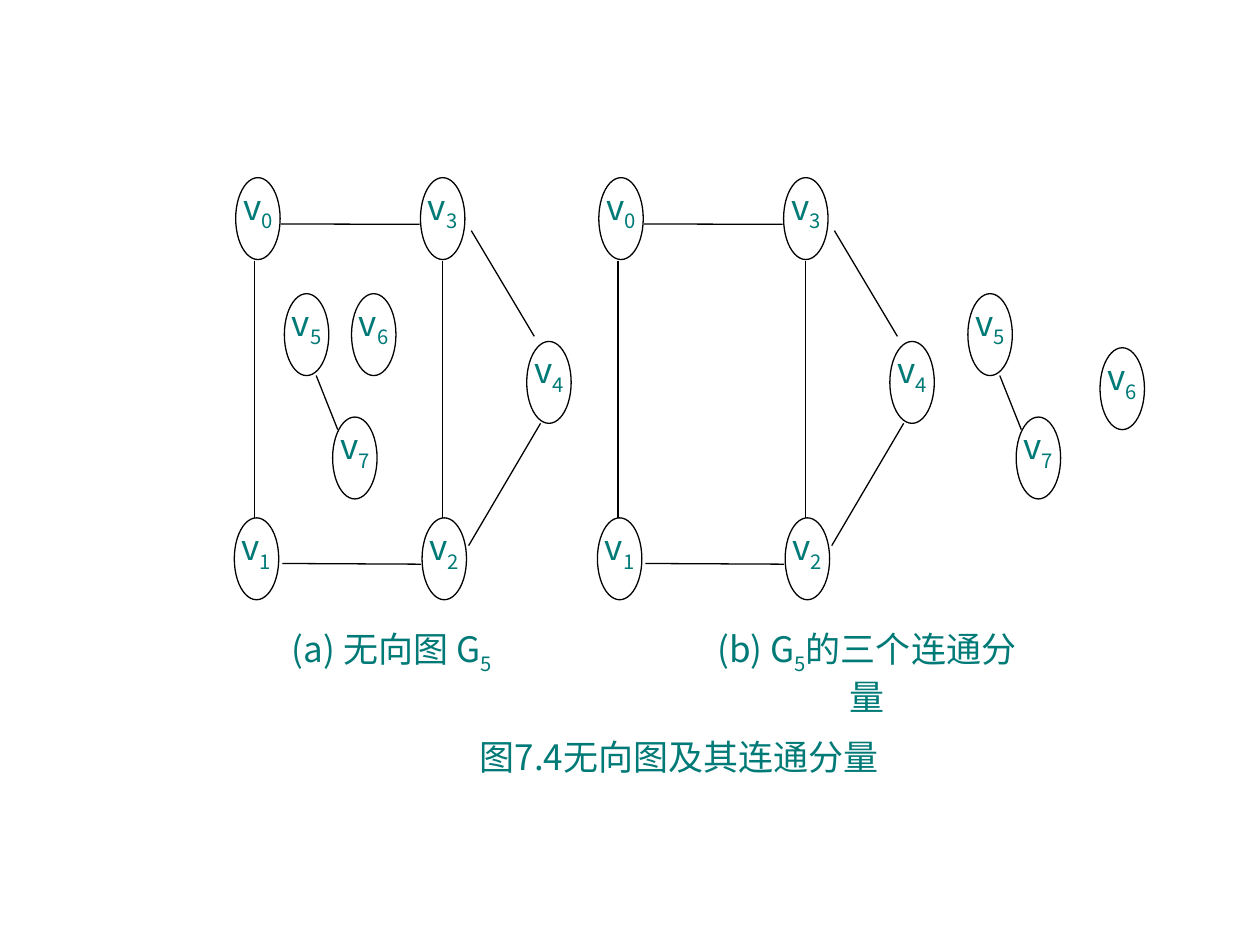
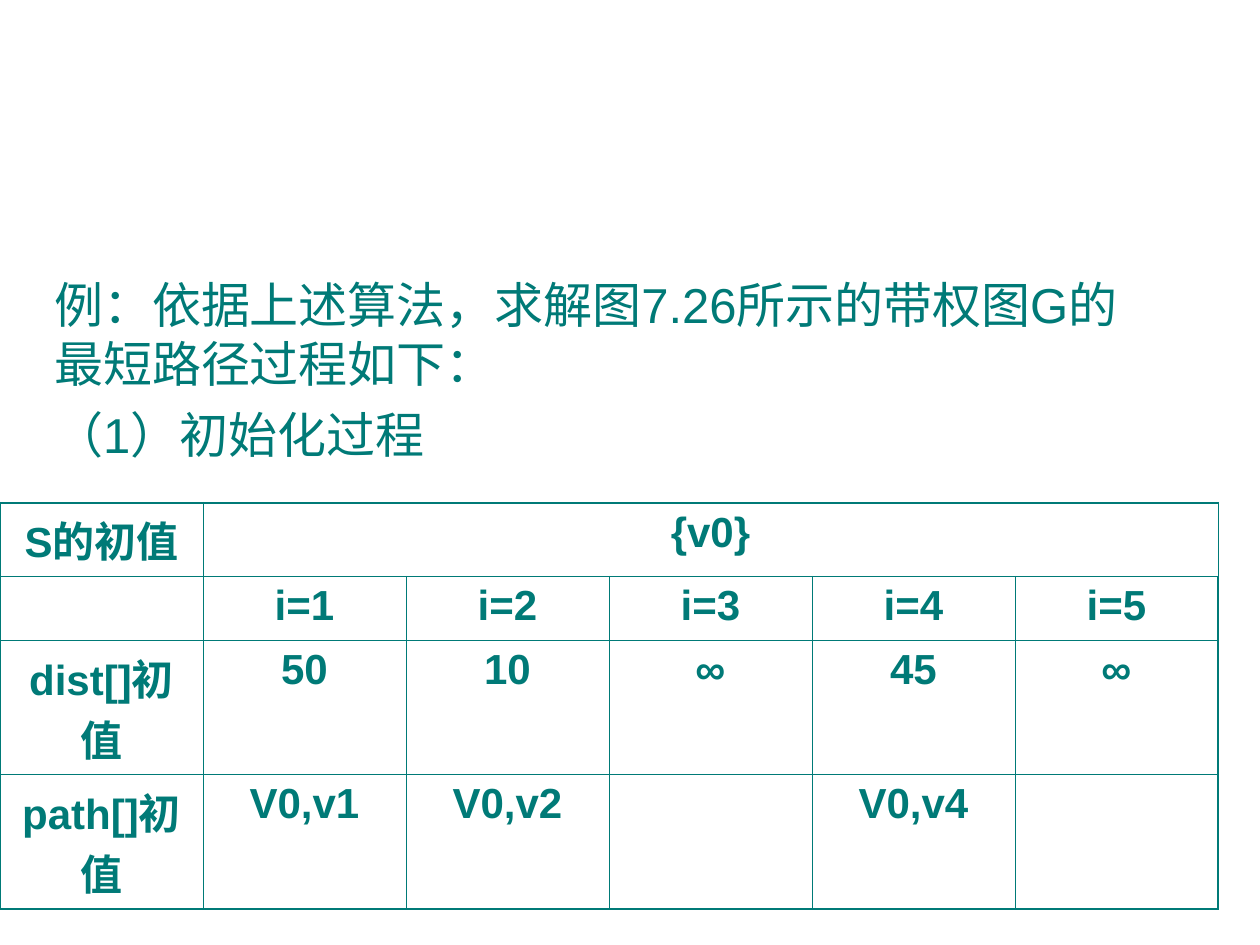
from lxml import etree
from pptx import Presentation
from pptx.dml.color import RGBColor
from pptx.enum import shapes, text
from pptx.oxml import ns
from pptx.util import Pt

TEAL = RGBColor(0x00, 0x7A, 0x77)
BLACK = RGBColor(0x00, 0x00, 0x00)
WHITE = RGBColor(0xFF, 0xFF, 0xFF)
LATIN_FONT = "Arial"
CHINESE_FONT = "Noto Sans CJK SC"

NODE_WIDTH, NODE_HEIGHT = 25.4, 46.8
MAIN_NODES = {"v_0": (134.7, 101.5), "v_3": (240.3, 101.5), "v_4": (301, 195.1),
              "v_1": (133.9, 295.9), "v_2": (241.2, 295.9)}
MAIN_EDGES = [(160.6, 128, 239.8, 128.2), (145.6, 149, 145.6, 296),
              (252.7, 149, 252.7, 296), (161.3, 322, 240.5, 322.4),
              (269.3, 131.8, 305.3, 192.2), (308.9, 241.9, 267.8, 311.8)]
PAIR_NODES = {"v_5": (162.5, 167.8), "v_7": (190.1, 238.3)}
PAIR_EDGES = [(180.7, 214.6, 193, 245.5)]
MAIN_SHIFT, PAIR_SHIFT = 207.5, 390.6

TABLE_ROWS = [["S的初值", "{v0}", "", "", "", ""],
              ["", "i=1", "i=2", "i=3", "i=4", "i=5"],
              ["dist[]初值", "50", "10", "∞", "45", "∞"],
              ["path[]初值", "V0,v1", "V0,v2", "", "V0,v4", ""]]
ROW_HEIGHTS = [36, 36.5, 64.8, 64.8]
COLUMN_WIDTH = 116
THIN, THICK = 0.45, 1.08


def write(paragraph, content, size=20, font=CHINESE_FONT, bold=False, align=None,
          spacing=None, before=None):
    """Fill a paragraph; every second part between underscores is a subscript."""
    paragraph.alignment = align
    paragraph.line_spacing = spacing
    paragraph.space_before = before
    for index, part in enumerate(content.split("_")):
        run = paragraph.add_run()
        run.text = part
        run.font.size = Pt(size)
        run.font.name = font
        run.font.bold = bold
        run.font.color.rgb = TEAL
        properties = run._r.get_or_add_rPr()
        etree.SubElement(properties, ns.qn("a:ea"), typeface=CHINESE_FONT)
        if index % 2:
            properties.set("baseline", "-25000")


def add_label(group, kind, content, box, line, width, spacing=None):
    """Add a white shape with centred text at its top."""
    shape = group.shapes.add_shape(kind, *map(Pt, box))
    shape.shadow.inherit = False
    shape.fill.solid()
    shape.fill.fore_color.rgb = WHITE
    shape.line.color.rgb = line
    shape.line.width = Pt(width)
    frame = shape.text_frame
    frame.word_wrap = True
    frame.vertical_anchor = text.MSO_ANCHOR.TOP
    frame.margin_left = frame.margin_top = frame.margin_right = frame.margin_bottom = 0
    write(frame.paragraphs[0], content, align=text.PP_ALIGN.CENTER, spacing=spacing)


def add_node(group, name, left, top):
    """Add one vertex of a graph."""
    add_label(group, shapes.MSO_SHAPE.OVAL, name,
              (left, top, NODE_WIDTH, NODE_HEIGHT), BLACK, 0.75, spacing=0.8)


def add_caption(group, content, *box):
    """Add a caption on a white rectangle."""
    add_label(group, shapes.MSO_SHAPE.RECTANGLE, content, box, WHITE, 1)


def add_edge(group, x1, y1, x2, y2):
    """Add one straight edge of a graph."""
    edge = group.shapes.add_connector(shapes.MSO_CONNECTOR.STRAIGHT,
                                      *map(Pt, (x1, y1, x2, y2)))
    edge.line.color.rgb = BLACK
    edge.line.width = Pt(0.75)
    etree.SubElement(edge._element.spPr, ns.qn("a:effectLst"))


def add_component(group, nodes, edges, shift=0):
    """Add a connected component, moved to the right by shift."""
    for name, (left, top) in nodes.items():
        add_node(group, name, left + shift, top)
    for x1, y1, x2, y2 in edges:
        add_edge(group, x1 + shift, y1, x2 + shift, y2)


def set_borders(cell, widths):
    """Draw the left, right, top and bottom borders of a cell."""
    properties = cell._tc.get_or_add_tcPr()
    for index, (side, width) in enumerate(zip("LRTB", widths)):
        border = etree.Element(ns.qn(f"a:ln{side}"), w=str(Pt(width)))
        fill = etree.SubElement(border, ns.qn("a:solidFill"))
        etree.SubElement(fill, ns.qn("a:srgbClr"), val=str(TEAL))
        properties.insert(index, border)


def add_value_table(slide):
    """Add the table of initial values."""
    row_count, column_count = len(TABLE_ROWS), len(TABLE_ROWS[0])
    table = slide.shapes.add_table(
        row_count, column_count, 0, Pt(287.3),
        Pt(COLUMN_WIDTH * column_count), Pt(sum(ROW_HEIGHTS))).table
    table.first_row = table.horz_banding = False
    for column in table.columns:
        column.width = Pt(COLUMN_WIDTH)
    for r, (values, height) in enumerate(zip(TABLE_ROWS, ROW_HEIGHTS)):
        table.rows[r].height = Pt(height)
        for c, value in enumerate(values):
            cell = table.cell(r, c)
            cell.fill.background()
            outer = (c == 0, c == column_count - 1, r == 0, r == row_count - 1)
            set_borders(cell, [THICK if side else THIN for side in outer])
            if value:
                write(cell.text_frame.paragraphs[0], value, size=24, font=LATIN_FONT,
                      bold=True, align=text.PP_ALIGN.CENTER)
    table.cell(0, 1).merge(table.cell(0, column_count - 1))
    set_borders(table.cell(0, 1), [THIN, THICK, THICK, THIN])


def add_body(slide, lines):
    """Fill the body placeholder with plain paragraphs."""
    body = slide.placeholders[1]
    body.left, body.top, body.width, body.height = map(Pt, (23.8, 149.8, 636.5, 120.2))
    frame = body.text_frame
    frame.auto_size = text.MSO_AUTO_SIZE.NONE
    frame.vertical_anchor = text.MSO_ANCHOR.TOP
    frame.margin_top = Pt(7)
    for index, line in enumerate(lines):
        paragraph = frame.add_paragraph() if index else frame.paragraphs[0]
        properties = paragraph._p.get_or_add_pPr()
        properties.set("marL", "0")
        properties.set("indent", "0")
        etree.SubElement(properties, ns.qn("a:buNone"))
        write(paragraph, line, size=28, font=LATIN_FONT, spacing=Pt(33.7),
              before=Pt(7 if index else 0))


def build_graph_slide(presentation):
    """Build the slide with the graph and its connected components."""
    slide = presentation.slides.add_slide(presentation.slide_layouts[6])
    group = slide.shapes.add_group_shape()
    add_caption(group, "图7.4无向图及其连通分量", 266.4, 420.5, 243.4, 51.8)
    add_caption(group, "(a) 无向图 G_5", 159.1, 358.6, 129.6, 61.9)
    add_caption(group, "(b) G_5_的三个连通分量", 401, 358.6, 188.6, 61.9)
    for main_shift, pair_shift in ((0, 0), (MAIN_SHIFT, PAIR_SHIFT)):
        add_component(group, MAIN_NODES, MAIN_EDGES, main_shift)
        add_component(group, PAIR_NODES, PAIR_EDGES, pair_shift)
    add_node(group, "v_6", 200.9, 167.8)
    add_node(group, "v_6", 628.6, 198.7)


def build_table_slide(presentation):
    """Build the slide with the example and its initial values."""
    slide = presentation.slides.add_slide(presentation.slide_layouts[1])
    title = slide.shapes.title._element
    title.getparent().remove(title)
    add_body(slide, ["例：依据上述算法，求解图7.26所示的带权图G的最短路径过程如下：",
                     "（1）初始化过程"])
    add_value_table(slide)


def main():
    """Build and save the presentation."""
    presentation = Presentation()
    presentation.slide_width, presentation.slide_height = Pt(720), Pt(540)
    build_graph_slide(presentation)
    build_table_slide(presentation)
    presentation.save("out.pptx")


if __name__ == "__main__":
    main()
